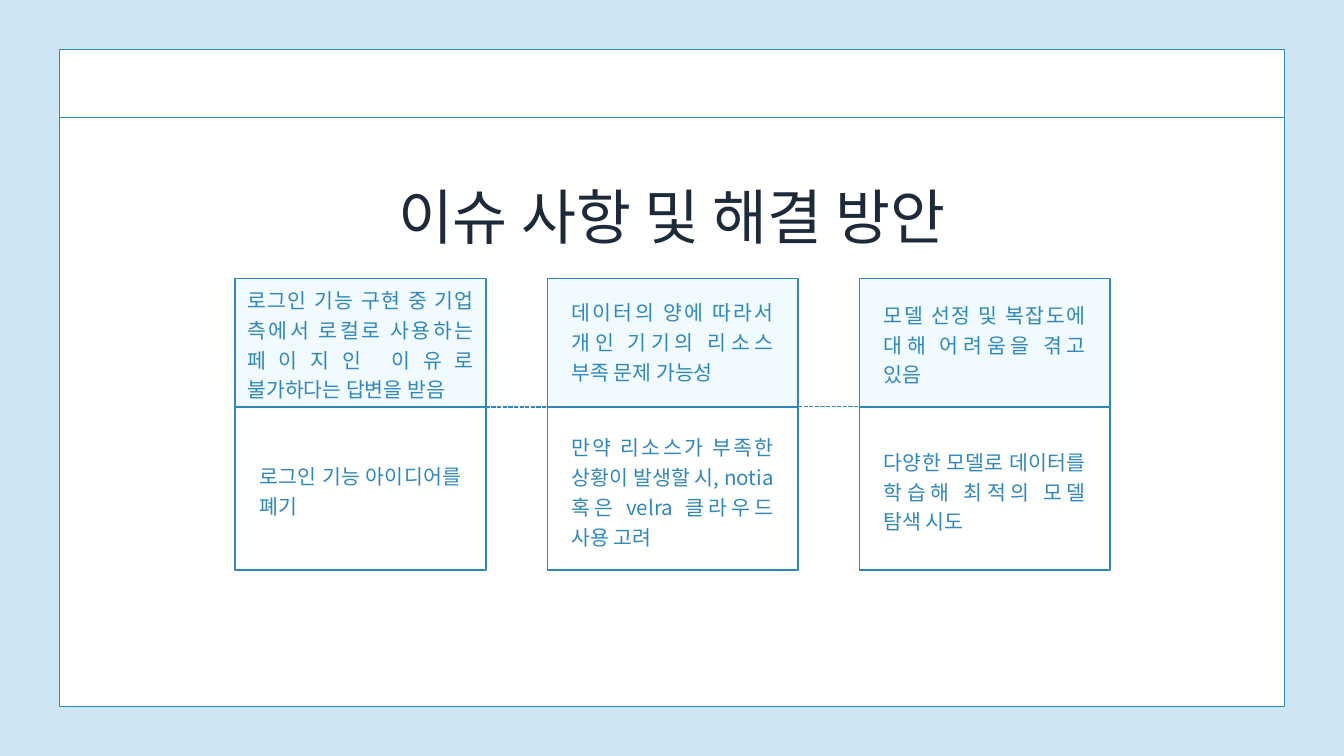
from dataclasses import dataclass

from lxml import etree
from pptx import Presentation
from pptx.dml.color import RGBColor
from pptx.enum.dml import MSO_LINE
from pptx.enum.shapes import MSO_CONNECTOR, MSO_SHAPE
from pptx.enum.text import PP_ALIGN
from pptx.oxml.ns import qn
from pptx.util import Pt

RECTANGLE = MSO_SHAPE.RECTANGLE
STRAIGHT = MSO_CONNECTOR.STRAIGHT
DASH = MSO_LINE.SQUARE_DOT
CENTER, JUSTIFY = PP_ALIGN.CENTER, PP_ALIGN.JUSTIFY

SKY = RGBColor(0xCE, 0xE6, 0xF4)
PALE = RGBColor(0xF1, 0xFA, 0xFF)
WHITE = RGBColor(0xFF, 0xFF, 0xFF)
BLUE = RGBColor(0x30, 0x87, 0xBB)
NAVY = RGBColor(0x1D, 0x2A, 0x3A)
FONT = "Noto Sans CJK KR"

# Card grid, in points
COL_LEFT, COL_STEP, COL_WIDTH = 252, 334.4, 268.6
ISSUE_TOP, ISSUE_HEIGHT = 298.1, 138.2
PLAN_TOP, PLAN_HEIGHT = 434.2, 176.4
LINE_HEIGHT = 31.9


@dataclass
class Style:
    size: float
    color: RGBColor
    align: PP_ALIGN
    spacing: float


@dataclass
class Note:
    text: str
    top: float
    lines: int
    inset: float = 26


@dataclass
class Card:
    issue: Note
    plan: Note


TITLE = Style(64, NAVY, CENTER, 89.6)
BODY = Style(22, BLUE, JUSTIFY, LINE_HEIGHT)

CARDS = [
    Card(Note("로그인 기능 구현 중 기업 측에서 로컬로 사용하는 페이지인 이유로 "
              "불가하다는 답변을 받음", 303.1, 4, 13),
         Note("로그인 기능 아이디어를 폐기", 491.8, 2)),
    Card(Note("데이터의 양에 따라서 개인 기기의 리소스 부족 문제 가능성", 316.1, 3),
         Note("만약 리소스가 부족한 상황이 발생할 시, notia 혹은 velra "
              "클라우드 사용 고려", 460.8, 4)),
    Card(Note("모델 선정 및 복잡도에 대해 어려움을 겪고 있음", 319, 3),
         Note("다양한 모델로 데이터를 학습해 최적의 모델 탐색 시도", 476.6, 3)),
]


def add_box(s, left: float, top: float, width: float, height: float,
            fill: RGBColor) -> None:
    sp = s.shapes.add_shape(RECTANGLE, Pt(left), Pt(top), Pt(width), Pt(height))
    sp.shadow.inherit = False
    sp.fill.solid()
    sp.fill.fore_color.rgb = fill
    sp.line.color.rgb = BLUE
    sp.line.width = Pt(1.5)


def add_line(s, left: float, right: float, y: float, dashed: bool = False) -> None:
    line = s.shapes.add_connector(STRAIGHT, Pt(left), Pt(y), Pt(right), Pt(y))
    line.line.color.rgb = BLUE
    line.line.width = Pt(1.5)
    if dashed:
        line.line.dash_style = DASH
    etree.SubElement(line._element.spPr, qn("a:effectLst"))


def add_text(s, text: str, left: float, top: float, width: float, height: float,
             style: Style) -> None:
    sp = s.shapes.add_textbox(Pt(left), Pt(top), Pt(width), Pt(height))
    tf = sp.text_frame
    frame_format = {"word_wrap": True, "margin_left": 0, "margin_right": 0,
                    "margin_top": 0, "margin_bottom": 0}
    for name, value in frame_format.items():
        setattr(tf, name, value)
    p = tf.paragraphs[0]
    p.alignment = style.align
    p.line_spacing = Pt(style.spacing)
    r = p.add_run()
    r.text = text
    r.font.color.rgb = style.color
    for name, value in {"size": Pt(style.size), "name": FONT}.items():
        setattr(r.font, name, value)
    # Korean glyphs take the East Asian typeface
    etree.SubElement(r._r.get_or_add_rPr(), qn("a:ea"), typeface=FONT)


def add_note(s, note: Note, left: float) -> None:
    add_text(s, note.text, left + note.inset, note.top,
             COL_WIDTH - 2 * note.inset, note.lines * LINE_HEIGHT, BODY)


def main() -> None:
    prs = Presentation()
    prs.slide_width, prs.slide_height = Pt(1440), Pt(810)
    s = prs.slides.add_slide(prs.slide_layouts[6])
    s.background.fill.solid()
    s.background.fill.fore_color.rgb = SKY

    # Window frame and title
    add_box(s, 64, 53.3, 1312, 703.5, WHITE)
    add_line(s, 64, 1376, 126)
    add_text(s, "이슈 사항 및 해결 방안", 406.8, 180, 626.4, 85.7, TITLE)

    # Issue cards above their plans, joined by dashed lines
    for i, card in enumerate(CARDS):
        left = COL_LEFT + i * COL_STEP
        if i:
            add_line(s, left - COL_STEP + COL_WIDTH, left, 436 - 0.5 * (i - 1), True)
        add_box(s, left, PLAN_TOP, COL_WIDTH, PLAN_HEIGHT, WHITE)
        add_box(s, left, ISSUE_TOP, COL_WIDTH, ISSUE_HEIGHT, PALE)
        add_note(s, card.issue, left)
        add_note(s, card.plan, left)

    prs.save("out.pptx")


if __name__ == "__main__":
    main()
